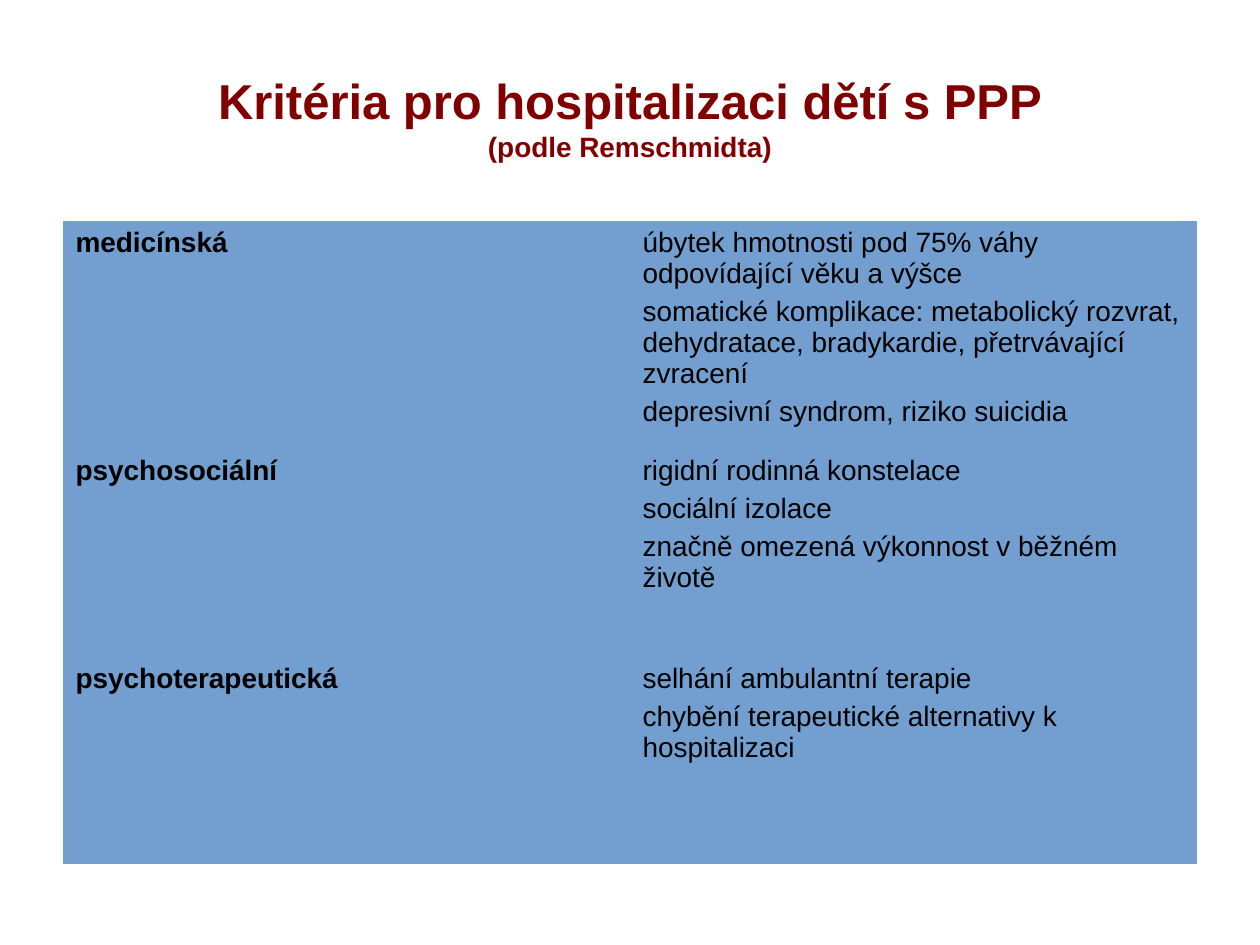
import pptx
import pptx.util
import pptx.dml.color
import pptx.enum.text

Pt = pptx.util.Pt
NO_GRID_STYLE = "{2D5ABB26-0587-4C30-8999-92F81FD0307C}"
CRITERIA = [
    ("medicínská", [
        "úbytek hmotnosti pod 75% váhy odpovídající věku a výšce",
        "somatické komplikace: metabolický rozvrat, dehydratace, bradykardie, přetrvávající zvracení",
        "depresivní syndrom, riziko suicidia",
    ]),
    ("psychosociální", [
        "rigidní rodinná konstelace",
        "sociální izolace",
        "značně omezená výkonnost v běžném životě",
    ]),
    ("psychoterapeutická", [
        "selhání ambulantní terapie",
        "chybění terapeutické alternativy k hospitalizaci",
    ]),
]
ROW_HEIGHTS = [130.3, 118.8, 118.8]


def color(value):
    return pptx.dml.color.RGBColor.from_string(value)


def add_run(p, text, size, fill, bold):
    r = p.add_run()
    r.text = text
    r.font.name = "Arial"
    r.font.size = Pt(size)
    r.font.bold = bold
    r.font.color.rgb = color(fill)


def add_title(s, left, top, width, height):
    tf = s.shapes.add_textbox(Pt(left), Pt(top), Pt(width), Pt(height)).text_frame
    tf.word_wrap = True
    tf.vertical_anchor = pptx.enum.text.MSO_ANCHOR.MIDDLE
    p = tf.paragraphs[0]
    p.alignment = pptx.enum.text.PP_ALIGN.CENTER
    add_run(p, "Kritéria pro hospitalizaci dětí s PPP", 28, "800000", True)
    p.add_line_break()
    add_run(p, "(podle Remschmidta)", 16, "800000", True)


def fill_cell(cell, lines, bold):
    cell.fill.solid()
    cell.fill.fore_color.rgb = color("729FCF")
    tf = cell.text_frame
    for i, line in enumerate(lines):
        p = tf.add_paragraph() if i else tf.paragraphs[0]
        p.space_before = Pt(4 if i else 0)
        add_run(p, line, 16, "000000", bold)


def add_criteria(s, left, top, width):
    frame = s.shapes.add_table(len(CRITERIA), 2, Pt(left), Pt(top), Pt(width), Pt(sum(ROW_HEIGHTS)))
    table = frame.table
    table.first_row = False
    table.horz_banding = False
    table._tbl.tblPr[0].text = NO_GRID_STYLE
    for column in table.columns:
        column.width = Pt(width / 2)
    for i, (group, items) in enumerate(CRITERIA):
        table.rows[i].height = Pt(ROW_HEIGHTS[i])
        fill_cell(table.cell(i, 0), [group], True)
        fill_cell(table.cell(i, 1), items, False)


def main():
    prs = pptx.Presentation()
    prs.slide_width, prs.slide_height = Pt(720), Pt(540)
    s = prs.slides.add_slide(prs.slide_layouts[6])
    add_title(s, 36, 21.6, 648, 90)
    add_criteria(s, 36, 126, 648)
    prs.save("out.pptx")


if __name__ == "__main__":
    main()
